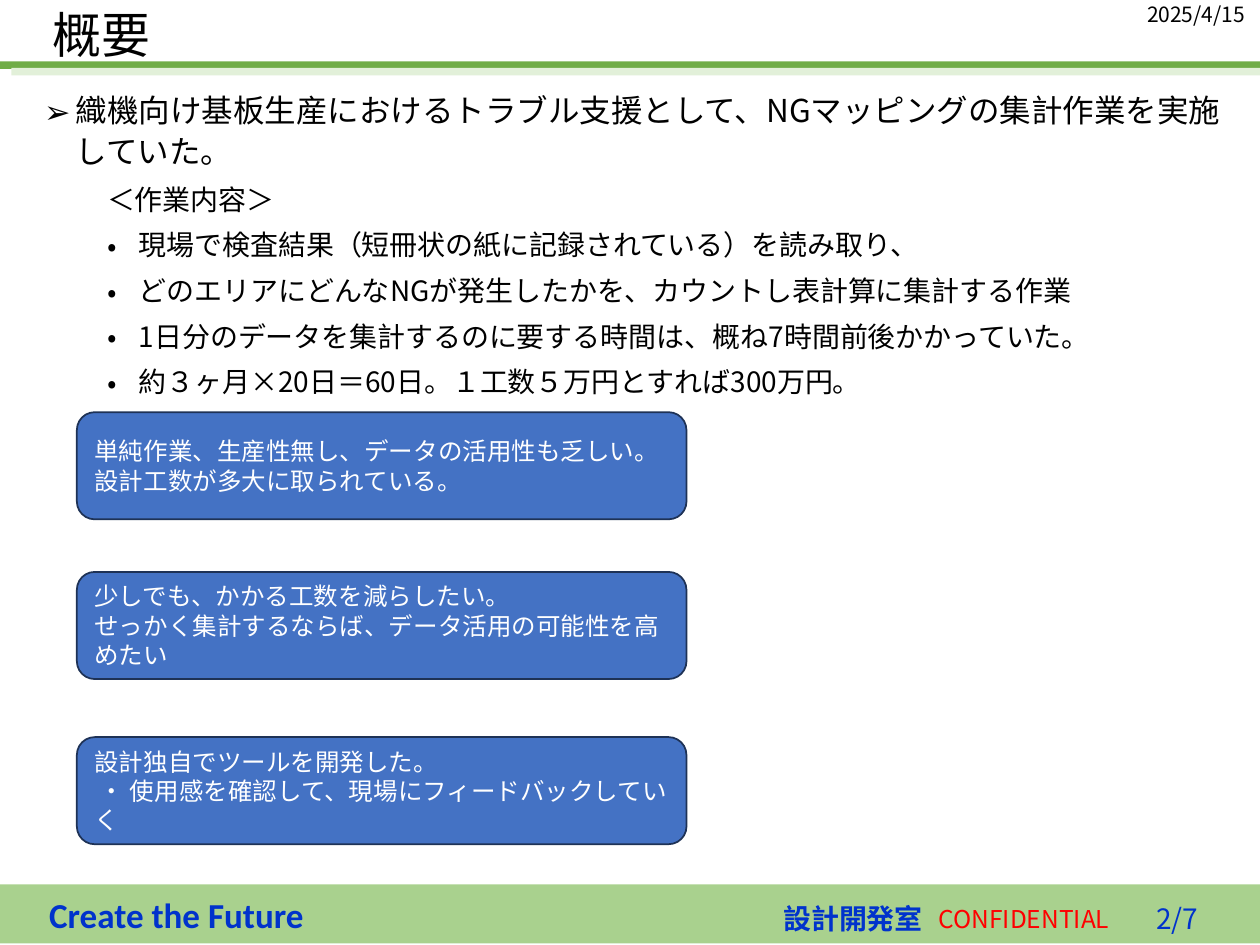
from lxml import etree
from pptx import Presentation
from pptx.dml.color import RGBColor
from pptx.enum.shapes import MSO_SHAPE
from pptx.enum.text import MSO_ANCHOR, PP_ALIGN
from pptx.oxml.ns import qn
from pptx.util import Cm, Pt

RECTANGLE, ROUNDED = MSO_SHAPE.RECTANGLE, MSO_SHAPE.ROUNDED_RECTANGLE
TOP, MIDDLE = MSO_ANCHOR.TOP, MSO_ANCHOR.MIDDLE
LEFT, RIGHT = PP_ALIGN.LEFT, PP_ALIGN.RIGHT

BLACK = RGBColor(0x00, 0x00, 0x00)
WHITE = RGBColor(0xFF, 0xFF, 0xFF)
RED = RGBColor(0xFF, 0x00, 0x00)
NAVY_TEXT = RGBColor(0x00, 0x33, 0xCC)
FOOTER_GREEN = RGBColor(0xA9, 0xD1, 0x8E)
RULE_GREEN = RGBColor(0x70, 0xAD, 0x47)
PALE_GREEN = RGBColor(0xE2, 0xF0, 0xD9)
BOX_BLUE = RGBColor(0x44, 0x72, 0xC4)
BOX_LINE = RGBColor(0x1E, 0x32, 0x56)

JAPANESE, LATIN = "Noto Sans CJK JP", "Calibri"


def add_paragraph(frame, text, size, color, font=JAPANESE, bold=False, **layout):
    """Fill the empty first paragraph, or append one; layout holds paragraph attributes."""
    para = frame.paragraphs[0]
    if para.runs:
        para = frame.add_paragraph()
    for name, value in layout.items():
        setattr(para, name, value)
    span = para.add_run()
    span.text = text
    span.font.color.rgb = color
    for name, value in {"size": Pt(size), "bold": bold, "name": font}.items():
        setattr(span.font, name, value)
    etree.SubElement(span.font._element, qn("a:ea"), typeface=font)
    return para


def add_block(page, kind, place, fill, line=None):
    block = page.shapes.add_shape(kind, *(Cm(length) for length in place))
    block.shadow.inherit = False
    block.fill.solid()
    block.fill.fore_color.rgb = fill
    if line is None:
        block.line.fill.background()
    else:
        block.line.color.rgb = line
        block.line.width = Pt(1)
    return block


deck = Presentation()
deck.slide_width, deck.slide_height = Cm(25.4), Cm(19.05)
page = deck.slides.add_slide(deck.slide_layouts[6])

# Footer band and the double rule under the title
for place, fill in (
    ((0, 17.83, 25.4, 1.19), FOOTER_GREEN),
    ((0, 1.24, 25.4, 0.15), RULE_GREEN),
    ((0.23, 1.37, 25.4, 0.15), PALE_GREEN),
):
    add_block(page, RECTANGLE, place, fill)

# Title, date and footer texts: place, side and top insets, anchor, wrap, format
labels = (
    ("Create the Future", (0.74, 18.01, 5.69, 0.86), 0.25, 0, TOP, False,
     {"size": 20, "color": NAVY_TEXT, "font": LATIN, "bold": True}),
    ("CONFIDENTIAL", (18.92, 18.21, 3.76, 0.61), 0, 0, MIDDLE, False,
     {"size": 14, "color": RED}),
    ("設計開発室", (15.54, 18.16, 3.38, 0.69), 0.25, 0, MIDDLE, False,
     {"size": 16, "color": NAVY_TEXT, "bold": True}),
    ("概要", (0.81, 0.13, 20.55, 1.24), 0.25, 0.13, MIDDLE, True,
     {"size": 28, "color": BLACK, "line_spacing": 0.9}),
    ("2025/4/15", (19.76, 0.03, 5.64, 1.02), 0.3, 0, TOP, True,
     {"size": 12, "color": BLACK, "alignment": RIGHT}),
    ("/7", (23.62, 18.01, 1.78, 1.02), 0, 0, MIDDLE, True,
     {"size": 16, "color": NAVY_TEXT}),
    ("2", (22.23, 18.01, 1.4, 1.02), 0, 0, MIDDLE, True,
     {"size": 16, "color": NAVY_TEXT, "alignment": RIGHT}),
)
for text, place, side, edge, anchor, wrap, text_format in labels:
    frame = page.shapes.add_textbox(*(Cm(length) for length in place)).text_frame
    frame_format = {
        "margin_left": Cm(side), "margin_right": Cm(side),
        "margin_top": Cm(edge), "margin_bottom": Cm(edge),
        "vertical_anchor": anchor, "word_wrap": wrap,
    }
    for name, value in frame_format.items():
        setattr(frame, name, value)
    add_paragraph(frame, text, **text_format)

# Body: text, size, space before, left margin, hanging indent, bullet
body_lines = [
    ("織機向け基板生産におけるトラブル支援として、NGマッピングの集計作業を実施していた。",
     18, 10, 0.64, 0.64, "➢"),
    ("＜作業内容＞", 16, 5, 1.27, 0, None),
]
for text in (
    "現場で検査結果（短冊状の紙に記録されている）を読み取り、",
    "どのエリアにどんなNGが発生したかを、カウントし表計算に集計する作業",
    "1日分のデータを集計するのに要する時間は、概ね7時間前後かかっていた。",
    "約３ヶ月×20日＝60日。１工数５万円とすれば300万円。",
):
    body_lines.append((text, 16, 5, 1.91, 0.64, "•"))

body = page.shapes.add_textbox(Cm(0.64), Cm(1.63), Cm(24.26), Cm(16)).text_frame
body.word_wrap = True
for text, size, space, margin, hanging, bullet in body_lines:
    para = add_paragraph(body, text, size, BLACK, line_spacing=1.1, space_before=Pt(space))
    properties = para._p.get_or_add_pPr()
    properties.set("marL", str(Cm(margin)))
    properties.set("indent", str(-Cm(hanging)))
    if bullet:
        etree.SubElement(properties, qn("a:buFont"), typeface=JAPANESE)
        etree.SubElement(properties, qn("a:buChar"), char=bullet)

# Three statement boxes
statements = (
    (8.31, ("単純作業、生産性無し、データの活用性も乏しい。", "設計工数が多大に取られている。")),
    (11.53, ("少しでも、かかる工数を減らしたい。",
             "せっかく集計するならば、データ活用の可能性を高めたい")),
    (14.86, ("設計独自でツールを開発した。",
             " ・ 使用感を確認して、現場にフィードバックしていく")),
)
for top, lines in statements:
    box = add_block(page, ROUNDED, (1.55, top, 12.29, 2.16), BOX_BLUE, BOX_LINE)
    box.text_frame.vertical_anchor = MIDDLE
    box.text_frame.word_wrap = True
    for text in lines:
        add_paragraph(box.text_frame, text, 14, WHITE, alignment=LEFT)

deck.save("out.pptx")
